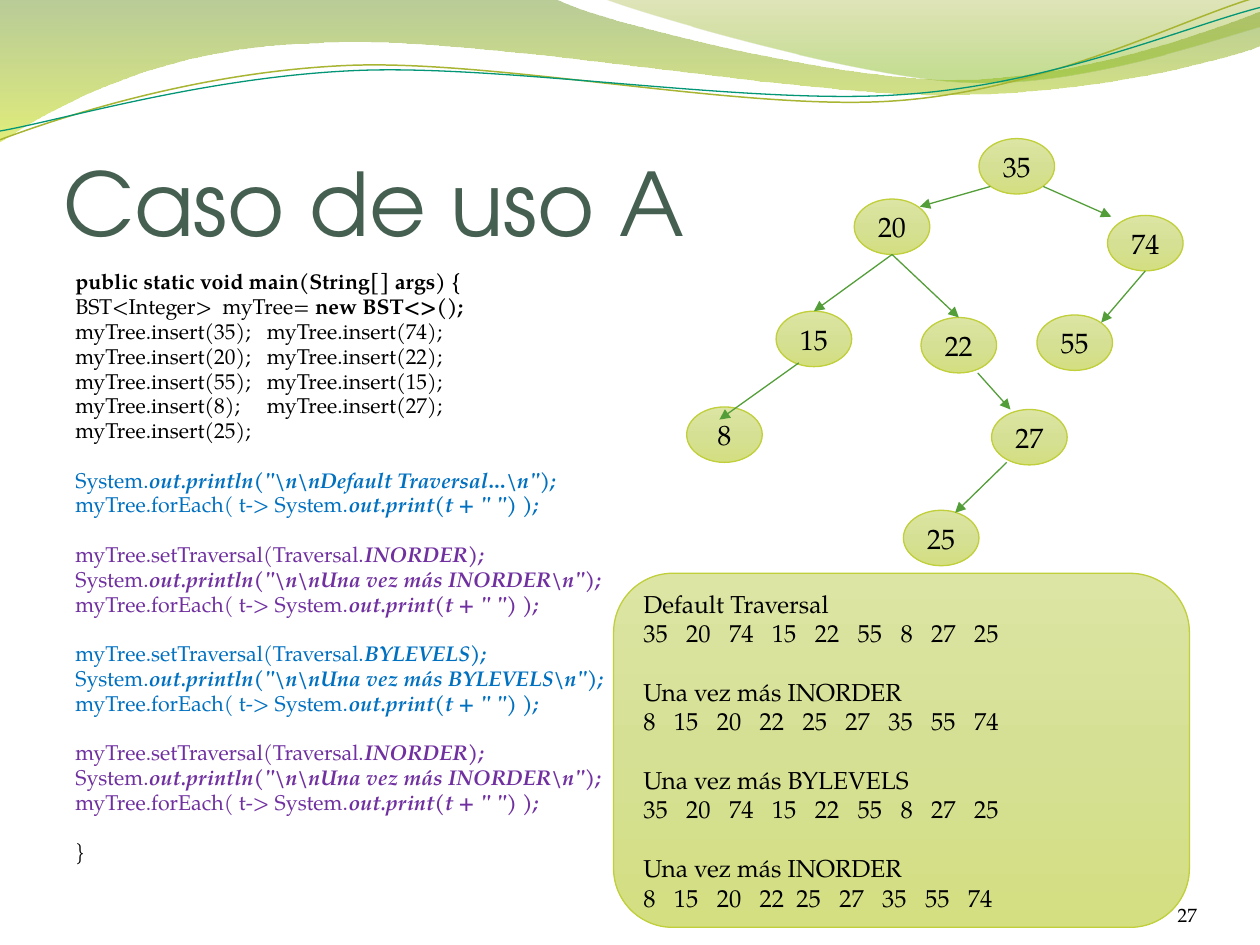
from dataclasses import dataclass
from itertools import accumulate
from math import cos, radians, sin

from lxml.etree import SubElement
from pptx import Presentation
from pptx.dml.color import RGBColor
from pptx.enum.shapes import MSO_CONNECTOR as Conn, MSO_SHAPE as Shape
from pptx.enum.text import MSO_ANCHOR as Anchor, PP_ALIGN as Align
from pptx.oxml.ns import qn
from pptx.util import Pt

PX = 9144
PT_PX = 100 / 72
HEAD, BODY = "TeX Gyre Adventor", "TeX Gyre Pagella"
BLACK, BLUE, PURPLE = "000000", "0070C0", "7030A0"
EDGE, ARROW = "C0CF3A", "549E39"
NODE_W, NODE_H = 60, 44
TILT = 2.7
LIME = ((0, "DCE5A3", 100), (50, "D6E095", 100), (100, "D4DF81", 100))


@dataclass(frozen=True)
class Wave:
    start: tuple
    segments: tuple
    stops: tuple = ()
    color: str = ""
    width: float = 0
    center: tuple = ()


@dataclass(frozen=True)
class Node:
    label: str
    x: int
    y: int


@dataclass(frozen=True)
class Arrow:
    x1: int
    y1: int
    x2: int
    y2: int


@dataclass(frozen=True)
class CodeLine:
    plain: str
    strong: str = ""
    color: str = BLACK
    gap: bool = False


@dataclass(frozen=True)
class Traversal:
    title: str
    keys: str
    tight_after: str = ""


WAVES = (
    Wave((0, 0), (((440, -1),), ((475, 17), (663, 63), (758, 63)),
                  ((853, 63), (958, 26), (1000, 9)), ((1001, 36),),
                  ((983, 44), (869, 76), (746, 75)), ((622, 75), (381, 28), (257, 34)),
                  ((129, 36), (46, 83), (-1, 113)), ((0, 0),)),
         stops=((0, "668F1B", 45), (100, "CAE00E", 55))),
    Wave((479, -1), (((509, 11), (682, 62), (768, 65)),
                     ((855, 69), (961, 32), (1000, 21)), ((1000, 0),), ((479, -1),)),
         stops=((0, "99A719", 30), (80, "80B814", 45), (100, "80B814", 45))),
    Wave((0, 111), (((48, 93), (157, 57), (276, 52)), ((395, 47), (592, 89), (712, 80)),
                    ((833, 71), (938, 15), (997, -2))),
         color="A8B532", width=0.85, center=(499, 57)),
    Wave((0, 104), (((47, 96), (163, 61), (283, 56)), ((402, 51), (597, 84), (717, 75)),
                    ((836, 67), (941, 21), (1000, 6))),
         color="029676", width=0.75, center=(500, 59)),
)
NODES = (
    Node("35", 777, 110), Node("74", 879, 171), Node("20", 678, 158),
    Node("55", 823, 250), Node("22", 731, 252), Node("27", 787, 325),
    Node("15", 616, 247), Node("25", 717, 405), Node("8", 545, 323),
)
ARROWS = (
    Arrow(786, 148, 730, 164), Arrow(828, 148, 882, 172), Arrow(708, 202, 646, 247),
    Arrow(708, 202, 761, 252), Arrow(909, 215, 874, 256), Arrow(799, 367, 758, 407),
    Arrow(776, 296, 802, 325), Arrow(634, 288, 571, 333),
)
PREORDER = "35 20 74 15 22 55 8 27 25"
SORTED = "8 15 20 22 25 27 35 55 74"
RESULTS = (
    Traversal("Default Traversal", PREORDER),
    Traversal("Una vez más INORDER", SORTED),
    Traversal("Una vez más BYLEVELS", PREORDER),
    Traversal("Una vez más INORDER", SORTED, tight_after="22"),
)


def for_each(color: str) -> CodeLine:
    return CodeLine("myTree.forEach( t-> System.", 'out.print(t + " ") );', color)


def traversal_code(order: str, color: str) -> tuple:
    return (
        CodeLine("myTree.setTraversal(Traversal.", f"{order});", color, True),
        CodeLine("System.", rf'out.println("\n\nUna vez más {order}\n");', color),
        for_each(color),
    )


CODE = (
    CodeLine("", "public static void main(String[] args) {"),
    CodeLine("BST<Integer>  myTree= ", "new BST<>();"),
    *(CodeLine(f"myTree.insert({a});\tmyTree.insert({b});")
      for a, b in ((35, 74), (20, 22), (55, 15), (8, 27))),
    CodeLine("myTree.insert(25);"),
    CodeLine("System.", r'out.println("\n\nDefault Traversal…\n");', BLUE, True),
    for_each(BLUE),
    *traversal_code("INORDER", PURPLE),
    *traversal_code("BYLEVELS", BLUE),
    *traversal_code("INORDER", PURPLE),
    CodeLine("}", gap=True),
)


def rgb(color: str) -> RGBColor:
    return RGBColor.from_string(color)


def add_run(p, text: str, *, size: float, font: str = BODY, color: str = BLACK,
            bold: bool = False, italic: bool = False) -> None:
    r = p.add_run()
    r.text = text
    f = r.font
    f.name, f.size, f.bold, f.italic = font, Pt(size), bold, italic
    f.color.rgb = rgb(color)


def add_tabs(p, stops) -> None:
    tabs = SubElement(p._p.get_or_add_pPr(), qn("a:tabLst"))
    for x in stops:
        SubElement(tabs, qn("a:tab"), pos=str(round(x * PX)), algn="l")


def next_paragraph(tf, i: int):
    return tf.add_paragraph() if i else tf.paragraphs[0]


def setup_frame(tf, anchor, margins: tuple = (10, 5, 10, 5)) -> None:
    tf.word_wrap = True
    tf.vertical_anchor = anchor
    tf.margin_left, tf.margin_top, tf.margin_right, tf.margin_bottom = (m * PX for m in margins)


def set_line(line, color: str, width: float = 0.75) -> None:
    line.color.rgb = rgb(color)
    line.width = Pt(width)


def set_gradient(sp, stops: tuple) -> None:
    sp.fill.gradient()
    sp.fill.gradient_angle = 270
    gs_list = sp._element.spPr.find(qn("a:gradFill")).find(qn("a:gsLst"))
    gs_list.clear()
    for pos, color, opacity in stops:
        gs = SubElement(gs_list, qn("a:gs"), pos=str(pos * 1000))
        clr = SubElement(gs, qn("a:srgbClr"), val=color)
        if opacity < 100:
            SubElement(clr, qn("a:alpha"), val=str(opacity * 1000))


def to_emu(point: tuple, center: tuple) -> tuple:
    x, y = point
    if center:
        cx, cy = center
        dx, dy, a = x - cx, y - cy, radians(TILT)
        x, y = cx + dx * cos(a) - dy * sin(a), cy + dx * sin(a) + dy * cos(a)
    return round(x * PX), round(y * PX)


def bend(sp, segments: tuple) -> None:
    path = next(sp._element.iter(qn("a:path")))
    lines = iter(path.findall(qn("a:lnTo")))
    for seg in segments:
        parts = [next(lines) for _ in seg]
        if len(parts) == 3:
            parts[0].addprevious(curve := SubElement(path, qn("a:cubicBezTo")))
            for part in parts:
                curve.append(part[0])
                path.remove(part)


def draw_wave(s, wave: Wave) -> None:
    builder = s.shapes.build_freeform(*to_emu(wave.start, wave.center))
    points = [to_emu(pt, wave.center) for seg in wave.segments for pt in seg]
    builder.add_line_segments(points, close=bool(wave.stops))
    sp = builder.convert_to_shape()
    bend(sp, wave.segments)
    sp.shadow.inherit = False
    if wave.stops:
        set_gradient(sp, wave.stops)
        sp.line.fill.background()
    else:
        sp.rotation = 360 - TILT
        sp.fill.background()
        set_line(sp.line, wave.color, wave.width)


def add_lime_shape(s, kind, x: int, y: int, w: int, h: int):
    sp = s.shapes.add_shape(kind, x * PX, y * PX, w * PX, h * PX)
    sp.shadow.inherit = False
    set_gradient(sp, LIME)
    set_line(sp.line, EDGE)
    setup_frame(sp.text_frame, Anchor.MIDDLE)
    return sp


def draw_node(s, node: Node) -> None:
    sp = add_lime_shape(s, Shape.OVAL, node.x, node.y, NODE_W, NODE_H)
    p = sp.text_frame.paragraphs[0]
    p.alignment = Align.CENTER
    add_run(p, node.label, size=16)


def draw_arrow(s, a: Arrow) -> None:
    c = s.shapes.add_connector(Conn.STRAIGHT, a.x1 * PX, a.y1 * PX, a.x2 * PX, a.y2 * PX)
    set_line(c.line, ARROW)
    SubElement(c.line._get_or_add_ln(), qn("a:tailEnd"), type="triangle")
    SubElement(c._element.spPr, qn("a:effectLst"))


def draw_title(s) -> None:
    sp = s.shapes.title
    sp.left, sp.top, sp.width, sp.height = 50 * PX, 77 * PX, 900 * PX, 125 * PX
    setup_frame(sp.text_frame, Anchor.BOTTOM, (0, 5, 0, 0))
    p = sp.text_frame.paragraphs[0]
    p.alignment = Align.LEFT
    add_run(p, "Caso de uso A", size=50, font=HEAD, color="455F51")


def draw_code(s) -> None:
    tf = s.shapes.add_textbox(50 * PX, 212 * PX, 900 * PX, 480 * PX).text_frame
    setup_frame(tf, Anchor.TOP)
    for i, line in enumerate(CODE):
        p = next_paragraph(tf, i)
        if "\t" in line.plain:
            add_tabs(p, [152])
        p.line_spacing = 0.8
        if i:
            p.space_before = Pt(16.5 if line.gap else 2.5)
        if line.plain:
            add_run(p, line.plain, size=12.2, color=line.color)
        if line.strong:
            add_run(p, line.strong, size=12.2, color=line.color, bold=True,
                    italic=line.color != BLACK)


def draw_results(s) -> None:
    sp = add_lime_shape(s, Shape.ROUNDED_RECTANGLE, 487, 455, 457, 281)
    sp.adjustments[0] = 0.167
    tf = sp.text_frame
    for i, result in enumerate(RESULTS):
        p = next_paragraph(tf, i)
        p.alignment = Align.LEFT
        if i:
            p.space_before = Pt(16.8)
        add_run(p, result.title, size=14)
        keys = result.keys.split()
        p = tf.add_paragraph()
        add_tabs(p, accumulate((7 * len(k) + (7 if k == result.tight_after else 10.5)) * PT_PX
                               for k in keys[:-1]))
        p.alignment = Align.LEFT
        add_run(p, "\t".join(keys), size=14)


def draw_number(s) -> None:
    tf = s.shapes.add_textbox(867 * PX, 695 * PX, 83 * PX, 40 * PX).text_frame
    setup_frame(tf, Anchor.BOTTOM, (0, 0, 0, 0))
    p = tf.paragraphs[0]
    p.alignment = Align.RIGHT
    add_run(p, "27", size=11)


def main() -> None:
    prs = Presentation()
    prs.slide_width, prs.slide_height = 1000 * PX, 750 * PX
    s = prs.slides.add_slide(prs.slide_layouts[5])
    for wave in WAVES:
        draw_wave(s, wave)
    draw_title(s)
    draw_code(s)
    draw_number(s)
    for node in NODES:
        draw_node(s, node)
    for arrow in ARROWS:
        draw_arrow(s, arrow)
    draw_results(s)
    prs.save("out.pptx")


if __name__ == "__main__":
    main()
